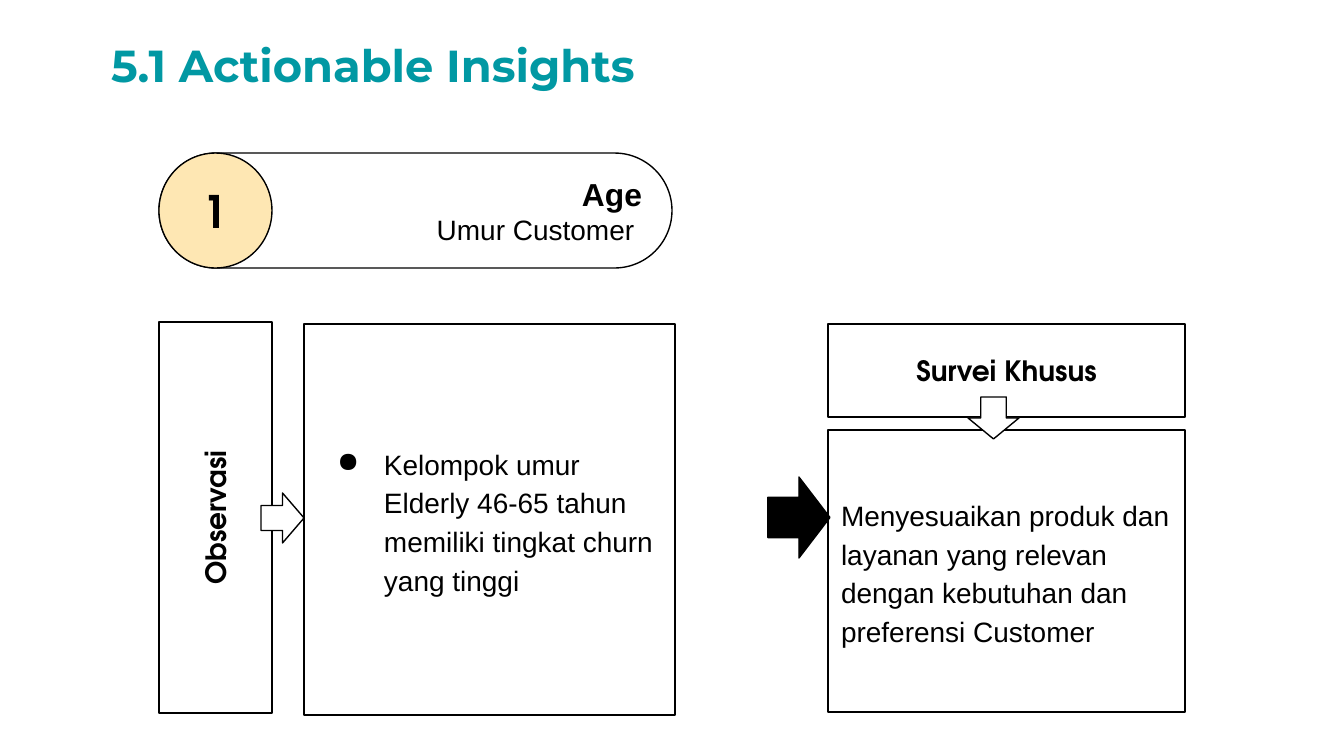
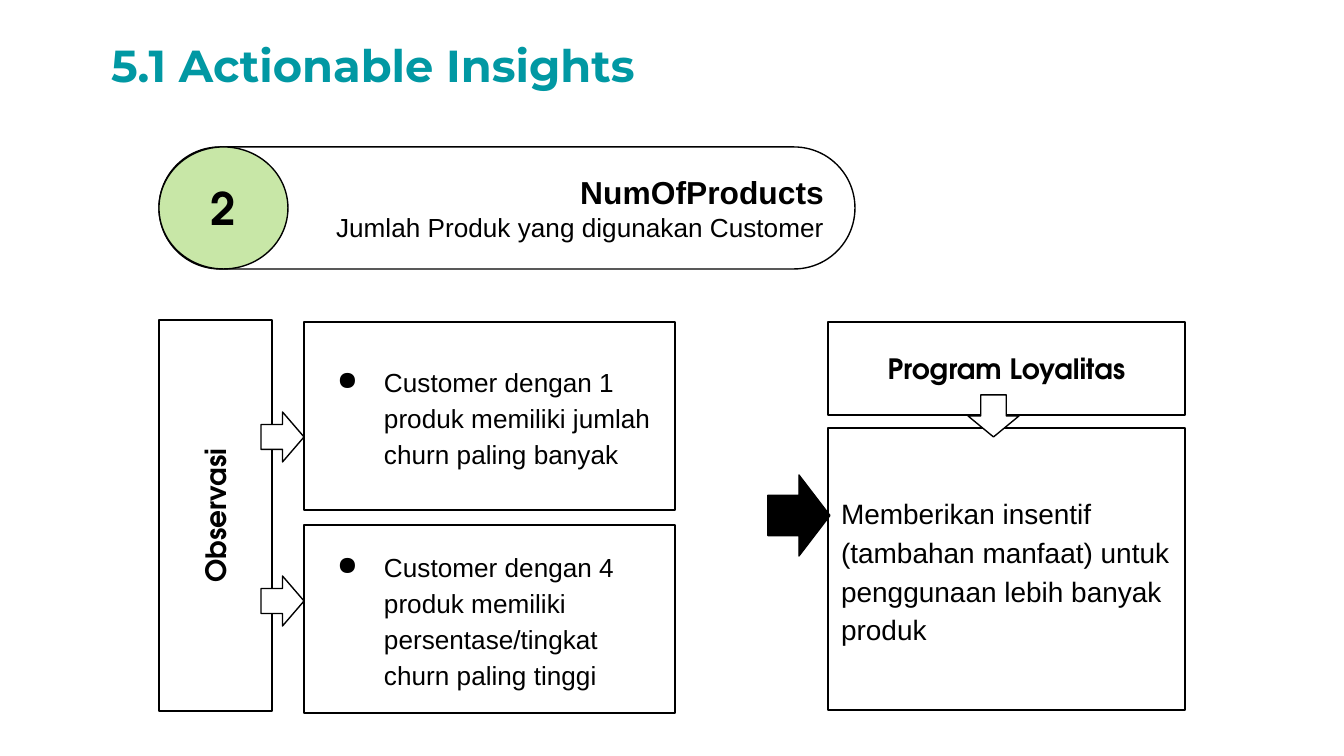
from dataclasses import dataclass

from lxml.etree import SubElement
from pptx import Presentation
from pptx.dml.color import RGBColor
from pptx.enum.shapes import MSO_SHAPE
from pptx.enum.text import MSO_ANCHOR, MSO_AUTO_SIZE, PP_ALIGN
from pptx.oxml.ns import qn
from pptx.util import Emu, Pt

EMU_PER_PX = 914400 / 134.4


def px(length):
    return Emu(round(length * EMU_PER_PX))


@dataclass(frozen=True)
class Theme:
    teal: str = "0198A3"
    black: str = "000000"
    white: str = "FFFFFF"
    cream: str = "FEE7B3"
    green: str = "C8E7A7"
    title_font: str = "Montserrat"
    label_font: str = "TeX Gyre Adventor"
    body_font: str = "Arial"
    title_size: int = 24
    heading_size: int = 17
    body_size: int = 15
    small_size: int = 14
    line_width: float = 0.75
    text_inset: int = 13
    title_spacing: float = 1.03
    body_spacing: float = 1.15


THEME = Theme()
PAGE_WIDTH, PAGE_HEIGHT = 1344, 756


@dataclass(frozen=True)
class Box:
    left: int
    top: int
    width: int
    height: int

    def inner(self, left, top, width, height):
        return Box(self.left + left, self.top + top, width, height)


@dataclass(frozen=True)
class Insight:
    number: str
    number_fill: str
    number_width: int
    feature: str
    description: str
    description_size: int
    feature_box: Box
    flow_box: Box
    observations: tuple
    observation_size: int
    arrow_centres: tuple
    action: str
    action_detail: str


def style_paragraph(para, text, font, size, color=THEME.black, bold=False,
                    align=PP_ALIGN.LEFT, spacing=1.0, bullet=False):
    para.text = text
    para.alignment = align
    para.line_spacing = spacing
    if bullet:
        add_bullet(para)
    para.font.name = font
    para.font.size = Pt(size)
    para.font.bold = bold
    para.font.color.rgb = RGBColor.from_string(color)


def add_bullet(para):
    properties = para._p.get_or_add_pPr()
    properties.set("marL", str(px(67)))
    properties.set("indent", str(px(-47)))
    bullet_color = SubElement(properties, qn("a:buClr"))
    SubElement(bullet_color, qn("a:srgbClr"), val=THEME.black)
    SubElement(properties, qn("a:buChar"), char="●")


def add_block(page, kind, box, fill=THEME.white, rotation=0):
    width, height = box.width, box.height
    if rotation % 180:
        width, height = height, width
    left = box.left + (box.width - width) / 2
    top = box.top + (box.height - height) / 2
    shape = page.shapes.add_shape(kind, px(left), px(top), px(width), px(height))
    shape.rotation = rotation
    shape.shadow.inherit = False
    shape.fill.solid()
    shape.fill.fore_color.rgb = RGBColor.from_string(fill)
    shape.line.color.rgb = RGBColor.from_string(THEME.black)
    shape.line.width = Pt(THEME.line_width)
    frame = shape.text_frame
    frame.vertical_anchor = MSO_ANCHOR.MIDDLE
    frame.margin_left = frame.margin_right = px(THEME.text_inset)
    frame.margin_top = frame.margin_bottom = px(THEME.text_inset)
    return shape


def add_label(page, kind, box, text, size=THEME.body_size, fill=THEME.white, rotation=0):
    shape = add_block(page, kind, box, fill, rotation)
    style_paragraph(shape.text_frame.paragraphs[0], text, THEME.label_font, size,
                    bold=True, align=PP_ALIGN.CENTER)


def add_body(page, box, text, size=THEME.body_size, bullet=False):
    shape = add_block(page, MSO_SHAPE.RECTANGLE, box)
    style_paragraph(shape.text_frame.paragraphs[0], text, THEME.body_font, size,
                    spacing=THEME.body_spacing, bullet=bullet)


def add_title(page, box, text):
    title = page.shapes.title
    title.left, title.top = px(box.left), px(box.top)
    title.width, title.height = px(box.width), px(box.height)
    frame = title.text_frame
    frame.auto_size = MSO_AUTO_SIZE.NONE
    frame.word_wrap = True
    frame.vertical_anchor = MSO_ANCHOR.TOP
    frame.margin_left = frame.margin_right = px(10)
    frame.margin_top = frame.margin_bottom = px(5)
    style_paragraph(frame.paragraphs[0], text, THEME.title_font, THEME.title_size,
                    THEME.teal, bold=True, spacing=THEME.title_spacing)


def add_feature(page, box, insight):
    pill = add_block(page, MSO_SHAPE.ROUNDED_RECTANGLE, box)
    pill.adjustments[0] = 0.5
    frame = pill.text_frame
    style_paragraph(frame.paragraphs[0], insight.feature, THEME.body_font,
                    THEME.heading_size, bold=True, align=PP_ALIGN.RIGHT)
    style_paragraph(frame.add_paragraph(), insight.description, THEME.body_font,
                    insight.description_size, align=PP_ALIGN.RIGHT)
    add_label(page, MSO_SHAPE.OVAL, box.inner(0, 0, insight.number_width, box.height),
              insight.number, THEME.title_size, insight.number_fill)


def add_observations(page, box, insight):
    add_label(page, MSO_SHAPE.RECTANGLE, box.inner(0, -2, 113, box.height),
              "Observasi", rotation=270)
    gap = 15
    count = len(insight.observations)
    height = (box.height - gap * (count - 1)) // count
    for index, text in enumerate(insight.observations):
        cell = box.inner(145, index * (height + gap), box.width - 145, height)
        add_body(page, cell, text, insight.observation_size, bullet=True)
    for centre in insight.arrow_centres:
        add_block(page, MSO_SHAPE.RIGHT_ARROW, box.inner(102, centre - 25, 43, 50))


def add_action(page, box, insight):
    add_body(page, box.inner(60, 106, 357, 282), insight.action_detail)
    add_block(page, MSO_SHAPE.RIGHT_ARROW, box.inner(0, 153, 62, 81), THEME.black)
    add_label(page, MSO_SHAPE.RECTANGLE, box.inner(60, 0, 357, 93), insight.action)
    add_block(page, MSO_SHAPE.RIGHT_ARROW, box.inner(200, 73, 51, 42), rotation=90)


def add_insight_page(deck, insight):
    page = deck.slides.add_slide(deck.slide_layouts[5])
    add_title(page, Box(101, 31, 1144, 65), "5.1 Actionable Insights")
    add_feature(page, insight.feature_box, insight)
    flow = insight.flow_box
    add_observations(page, flow.inner(0, 0, 516, flow.height), insight)
    add_action(page, flow.inner(609, 0, 417, flow.height), insight)


INSIGHTS = (
    Insight(
        number="1",
        number_fill=THEME.cream,
        number_width=113,
        feature="Age",
        description="Umur Customer ",
        description_size=THEME.body_size,
        feature_box=Box(159, 153, 513, 115),
        flow_box=Box(159, 324, 1026, 391),
        observations=(
            "Kelompok umur Elderly 46-65 tahun memiliki tingkat churn yang tinggi",
        ),
        observation_size=THEME.body_size,
        arrow_centres=(194,),
        action="Survei Khusus",
        action_detail="Menyesuaikan produk dan layanan yang relevan dengan "
                      "kebutuhan dan preferensi Customer",
    ),
    Insight(
        number="2",
        number_fill=THEME.green,
        number_width=129,
        feature="NumOfProducts",
        description="Jumlah Produk yang digunakan Customer",
        description_size=THEME.small_size,
        feature_box=Box(159, 147, 696, 122),
        flow_box=Box(159, 322, 1026, 391),
        observations=(
            "Customer dengan 1 produk memiliki jumlah churn paling banyak",
            "Customer dengan 4 produk memiliki persentase/tingkat churn paling tinggi",
        ),
        observation_size=THEME.small_size,
        arrow_centres=(115, 279),
        action="Program Loyalitas",
        action_detail="Memberikan insentif (tambahan manfaat) untuk penggunaan "
                      "lebih banyak produk",
    ),
)


def main():
    deck = Presentation()
    deck.slide_width, deck.slide_height = px(PAGE_WIDTH), px(PAGE_HEIGHT)
    for insight in INSIGHTS:
        add_insight_page(deck, insight)
    deck.save("out.pptx")


if __name__ == "__main__":
    main()
